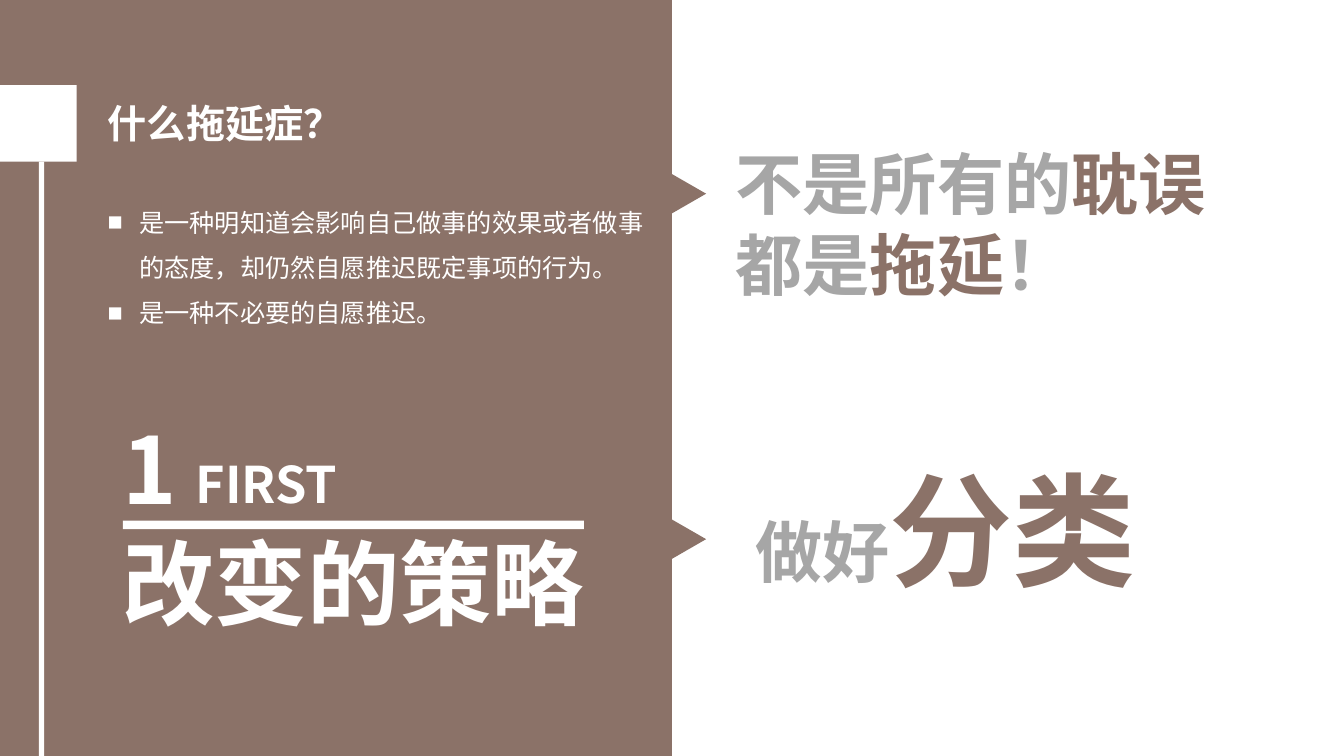
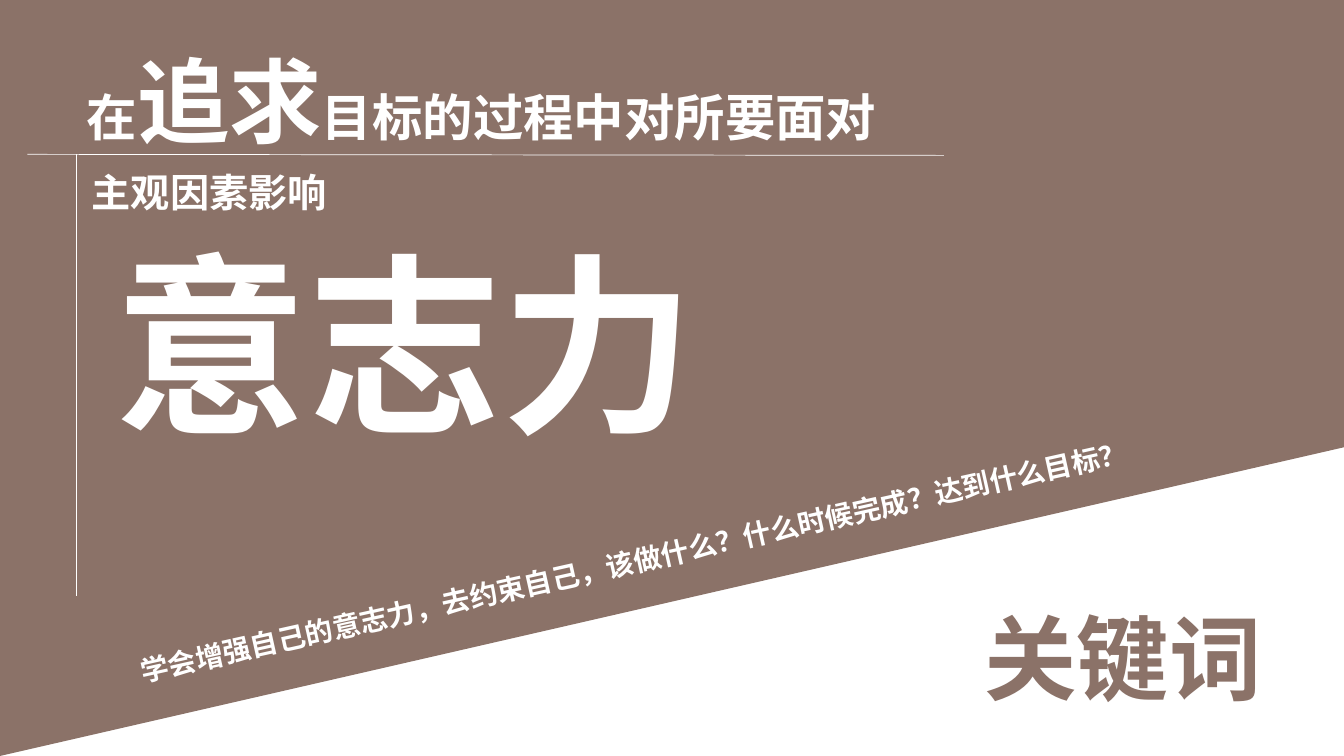
"""Build two slides on procrastination and willpower."""
import dataclasses

import pptx
import pptx.dml.color
import pptx.enum.shapes
import pptx.enum.text
import pptx.oxml
import pptx.oxml.ns
import pptx.util

PX = 9525
SHAPE = pptx.enum.shapes.MSO_SHAPE


@dataclasses.dataclass(frozen=True)
class Theme:
    """Hold the colours, font and type sizes of the deck."""
    brown: str = "8B7268"
    white: str = "FFFFFF"
    grey: str = "A6A6A6"
    font: str = "Noto Sans CJK SC"
    body: int = 18
    slogan: int = 20
    heading: int = 28
    label: int = 36
    statement: int = 48
    display: int = 66
    emphasis: int = 88
    hero: int = 138


THEME = Theme()
WIDTH, HEIGHT = 1280, 720


def px(*lengths):
    """Turn lengths in px into EMU."""
    return [length * PX for length in lengths]


def rgb(colour):
    """Return the colour object for a hex value."""
    return pptx.dml.color.RGBColor.from_string(colour)


def add_xml(parent, tag, **attributes):
    """Append an empty DrawingML element to a parent."""
    child = pptx.oxml.parse_xml(f'<a:{tag} {pptx.oxml.ns.nsdecls("a")}/>')
    for name, value in attributes.items():
        child.set(name, value)
    parent.append(child)


def paint(shape, colour):
    """Give a shape a flat fill without line or shadow."""
    shape.fill.solid()
    shape.fill.fore_color.rgb = rgb(colour)
    shape.line.fill.background()
    shape.shadow.inherit = False
    return shape


def add_block(slide, box, colour, preset=SHAPE.RECTANGLE):
    """Add a flat preset shape."""
    return paint(slide.shapes.add_shape(preset, *px(*box)), colour)


def add_pointer(slide, top):
    """Add a triangle pointing right from the panel edge."""
    pointer = add_block(slide, (637, top, 38, 33), THEME.brown, SHAPE.ISOSCELES_TRIANGLE)
    pointer.rotation = 90


def add_hairline(slide, start, end):
    """Add a thin white line."""
    hairline = slide.shapes.add_connector(
        pptx.enum.shapes.MSO_CONNECTOR.STRAIGHT, *px(*start, *end))
    hairline.line.color.rgb = rgb(THEME.white)
    hairline.line.width = pptx.util.Pt(0.5)
    add_xml(hairline._element.spPr, "effectLst")


def send_to_back(slide, shape):
    """Move a shape behind everything else on the slide."""
    slide.shapes._spTree.insert(2, shape._element)


def style(font, size, colour, bold=True):
    """Set the deck font with a size and colour."""
    font.name = THEME.font
    font.size = pptx.util.Pt(size)
    font.bold = bold
    font.color.rgb = rgb(colour)
    add_xml(font._rPr, "ea", typeface=THEME.font)


def set_frame(shape, box, wrap):
    """Place a text shape and set how its frame behaves."""
    shape.left, shape.top, shape.width, shape.height = px(*box)
    frame = shape.text_frame
    frame.word_wrap = wrap
    frame.auto_size = pptx.enum.text.MSO_AUTO_SIZE.SHAPE_TO_FIT_TEXT
    frame.vertical_anchor = pptx.enum.text.MSO_ANCHOR.TOP
    return frame


def write_line(shape, box, text, size, colour=THEME.white, wrap=False):
    """Write one bold paragraph; text is a string or (text, size, colour) parts."""
    paragraph = set_frame(shape, box, wrap).paragraphs[0]
    paragraph.alignment = pptx.enum.text.PP_ALIGN.LEFT
    style(paragraph.font, size, colour)
    if isinstance(text, str):
        paragraph.add_run().text = text
        return
    for part, part_size, part_colour in text:
        run = paragraph.add_run()
        run.text = part
        style(run.font, part_size, part_colour)


def add_label(slide, box, text, size, colour=THEME.white, wrap=False):
    """Add a text box with one bold paragraph."""
    label = slide.shapes.add_textbox(*px(*box))
    write_line(label, box, text, size, colour, wrap)
    return label


def write_bullets(shape, box, items):
    """Fill the body placeholder with square-bulleted items."""
    frame = set_frame(shape, box, True)
    frame.text = "\n".join(items)
    for paragraph in frame.paragraphs:
        paragraph.line_spacing = 1.5
        paragraph.space_before = pptx.util.Pt(0)
        properties = paragraph._p.get_or_add_pPr()
        properties.set("marL", str(30 * PX))
        properties.set("indent", str(-30 * PX))
        add_xml(properties, "buFont", typeface="Arial")
        add_xml(properties, "buChar", char="■")
        style(paragraph.font, THEME.body, THEME.white, bold=False)


def build_definition(deck):
    """Build the slide that defines procrastination and the first strategy."""
    slide = deck.slides.add_slide(deck.slide_layouts[1])
    send_to_back(slide, add_block(slide, (0, 0, WIDTH // 2, HEIGHT), THEME.brown))
    write_line(slide.shapes.title, (93, 90, 246, 55), "什么拖延症？", THEME.heading)
    write_bullets(slide.placeholders[1], (93, 178, 533, 140), [
        "是一种明知道会影响自己做事的效果或者做事的态度，却仍然自愿推迟既定事项的行为。",
        "是一种不必要的自愿推迟。",
    ])
    for box in ((0, 81, 73, 73), (37, 154, 5, 566), (117, 496, 439, 8)):
        add_block(slide, box, THEME.white)
    for top in (168, 497):
        add_pointer(slide, top)

    add_label(slide, (107, 388, 74, 116), "1", THEME.display)
    add_label(slide, (177, 427, 156, 68), "FIRST", THEME.label)
    add_label(slide, (107, 496, 464, 116), "改变的策略", THEME.display)

    claim = [
        ("不是所有的", THEME.statement, THEME.grey),
        ("耽误", THEME.statement, THEME.brown),
        ("都是", THEME.statement, THEME.grey),
        ("拖延", THEME.statement, THEME.brown),
        ("！", THEME.statement, THEME.grey),
    ]
    advice = [
        ("做好", THEME.statement, THEME.grey),
        ("分类", THEME.emphasis, THEME.brown),
    ]
    add_label(slide, (691, 131, 518, 165), claim, THEME.statement, wrap=True)
    add_label(slide, (710, 428, 500, 152), advice, THEME.statement, wrap=True)


def build_willpower(deck):
    """Build the slide about willpower as the key word."""
    slide = deck.slides.add_slide(deck.slide_layouts[5])
    outline = slide.shapes.build_freeform(0, 0, scale=PX)
    outline.add_line_segments([(WIDTH, 0), (WIDTH, 426), (0, HEIGHT)], close=True)
    send_to_back(slide, paint(outline.convert_to_shape(), THEME.brown))

    pursuit = [
        ("在", THEME.label, THEME.white),
        ("追求", THEME.display, THEME.white),
        ("目标的过程中对所要面对", THEME.label, THEME.white),
    ]
    write_line(slide.shapes.title, (73, 37, 779, 116), pursuit, THEME.label)
    add_hairline(slide, (26, 147), (899, 148))
    add_hairline(slide, (73, 147), (73, 568))
    add_label(slide, (78, 156, 246, 55), "主观因素影响", THEME.heading)
    add_label(slide, (100, 210, 577, 232), "意志力", THEME.hero)
    add_label(slide, (928, 568, 286, 116), "关键词", THEME.display, THEME.brown)
    slogan = add_label(
        slide, (113, 512, 989, 42),
        "学会增强自己的意志力，去约束自己，该做什么？什么时候完成？达到什么目标？",
        THEME.slogan)
    slogan.rotation = -12.7


def main():
    """Build and save the deck."""
    deck = pptx.Presentation()
    deck.slide_width, deck.slide_height = px(WIDTH, HEIGHT)
    build_definition(deck)
    build_willpower(deck)
    deck.save("out.pptx")


if __name__ == "__main__":
    main()
